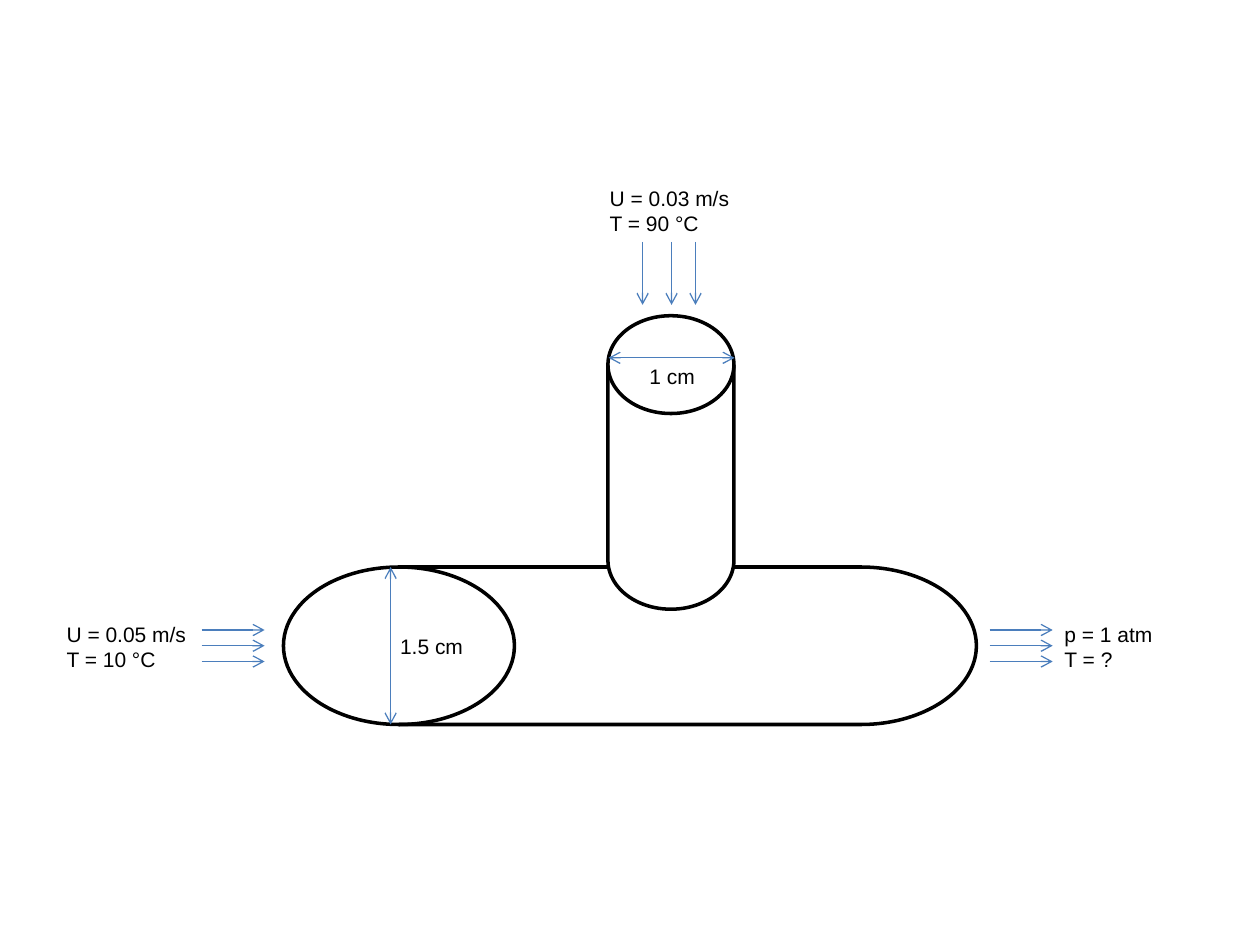
from dataclasses import dataclass
from typing import Any

from lxml.etree import SubElement
from pptx import Presentation
from pptx.dml.color import RGBColor
from pptx.enum.shapes import MSO_CONNECTOR, MSO_SHAPE
from pptx.enum.text import MSO_AUTO_SIZE, PP_ALIGN
from pptx.oxml.ns import qn
from pptx.util import Inches, Pt

CELL = 0.25


def grid(cells):
    return Inches(cells * CELL)


def color(hex_string):
    return RGBColor.from_string(hex_string)


@dataclass
class PipeDiagram:
    slide: Any
    font: str = "Arial"
    font_size: float = 12
    ink: str = "000000"
    paper: str = "FFFFFF"
    flow: str = "4B7EBC"
    outline_width: float = 2
    arrow_width: float = 0.75

    def pipe(self, column, row, columns, rows, rotation=0, flipped=False):
        shape = self.slide.shapes.add_shape(
            MSO_SHAPE.FLOWCHART_DIRECT_ACCESS_STORAGE,
            grid(column), grid(row), grid(columns), grid(rows))
        shape.shadow.inherit = False
        shape.rotation = rotation
        shape.fill.solid()
        shape.fill.fore_color.rgb = color(self.paper)
        shape.line.color.rgb = color(self.ink)
        shape.line.width = Pt(self.outline_width)
        if flipped:
            shape._element.spPr.find(qn("a:xfrm")).set("flipH", "1")

    def arrow(self, start, end, ends=("tailEnd",)):
        connector = self.slide.shapes.add_connector(
            MSO_CONNECTOR.STRAIGHT, *map(grid, start + end))
        connector.line.color.rgb = color(self.flow)
        connector.line.width = Pt(self.arrow_width)
        line = connector.line._get_or_add_ln()
        for name in ends:
            SubElement(line, qn(f"a:{name}"), type="arrow")
        SubElement(connector._element.spPr, qn("a:effectLst"))

    def dimension(self, start, end):
        self.arrow(start, end, ("headEnd", "tailEnd"))

    def label(self, column, row, columns, rows, lines, alignment=PP_ALIGN.LEFT):
        box = self.slide.shapes.add_textbox(
            grid(column), grid(row), grid(columns), grid(rows))
        frame = box.text_frame
        frame.word_wrap = True
        frame.auto_size = MSO_AUTO_SIZE.SHAPE_TO_FIT_TEXT
        for index, text in enumerate(lines):
            paragraph = frame.add_paragraph() if index else frame.paragraphs[0]
            paragraph.alignment = alignment
            run = paragraph.add_run()
            run.text = text
            run.font.name = self.font
            run.font.size = Pt(self.font_size)
            run.font.color.rgb = color(self.ink)


def main():
    presentation = Presentation()
    presentation.slide_width = grid(40)
    presentation.slide_height = grid(30)
    slide = presentation.slides.add_slide(presentation.slide_layouts[6])
    diagram = PipeDiagram(slide)

    diagram.pipe(9, 18, 22, 5, flipped=True)
    diagram.pipe(16.64, 12.68, 9.32, 4, rotation=270)

    for column in (20.4, 21.32, 22.08):
        diagram.arrow((column, 7.68), (column, 9.68))
    for column in (6.4, 31.42):
        for row in (20, 20.5, 21):
            diagram.arrow((column, row), (column + 2, row))

    diagram.dimension((19.32, 11.36), (23.32, 11.36))
    diagram.dimension((12.4, 18), (12.4, 23))

    diagram.label(18.96, 5.68, 4.76, 2, ["U = 0.03 m/s", "T = 90 °C"])
    diagram.label(1.72, 19.52, 4.76, 2, ["U = 0.05 m/s", "T = 10 °C"])
    diagram.label(33.4, 19.52, 4, 2, ["p = 1 atm", "T = ?"])
    diagram.label(18.96, 11.36, 4.76, 1.2, ["1 cm"], PP_ALIGN.CENTER)
    diagram.label(11.32, 19.92, 4.76, 1.2, ["1.5 cm"], PP_ALIGN.CENTER)

    presentation.save("out.pptx")


if __name__ == "__main__":
    main()
